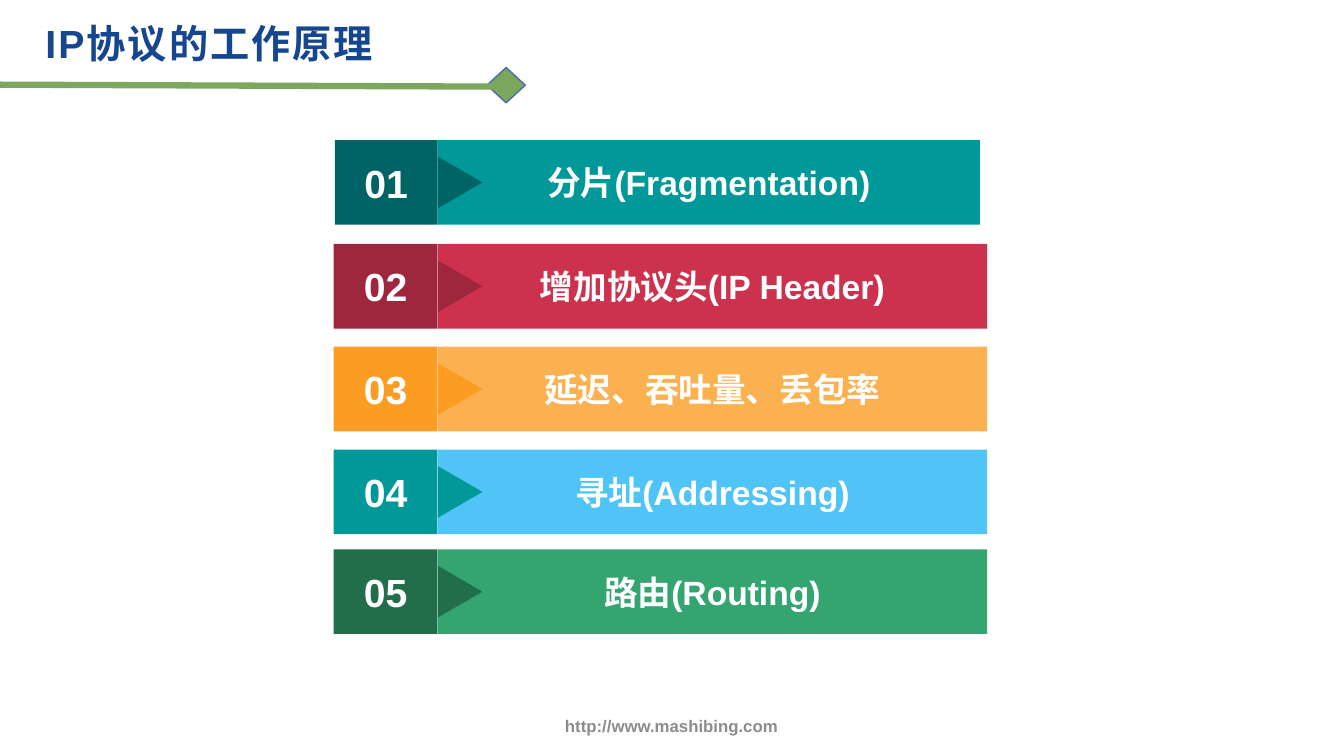
"""Builds the slide on how the IP protocol works: five numbered banners under a title."""
from lxml.etree import SubElement
from pptx import Presentation
from pptx.dml.color import RGBColor
from pptx.enum.shapes import MSO_CONNECTOR, MSO_SHAPE
from pptx.enum.text import MSO_ANCHOR, MSO_AUTO_SIZE, PP_ALIGN
from pptx.oxml.ns import qn
from pptx.util import Inches, Pt

WHITE = RGBColor(0xFF, 0xFF, 0xFF)
NAVY = RGBColor(0x16, 0x46, 0x8D)
GREY = RGBColor(0x8C, 0x8C, 0x8C)
RULE_GREEN = RGBColor(0x7C, 0xA7, 0x5F)
DIAMOND_GREEN = RGBColor(0x7C, 0xA6, 0x5E)
DIAMOND_EDGE = RGBColor(0x47, 0x6F, 0xAA)
DARK_TEAL = RGBColor(0x00, 0x64, 0x64)
TEAL = RGBColor(0x00, 0x98, 0x99)
DARK_RED = RGBColor(0x9E, 0x26, 0x3D)
RED = RGBColor(0xCC, 0x32, 0x4E)
ORANGE = RGBColor(0xFA, 0x9D, 0x22)
LIGHT_ORANGE = RGBColor(0xFB, 0xB1, 0x50)
SKY = RGBColor(0x50, 0xC4, 0xF7)
DARK_GREEN = RGBColor(0x22, 0x6E, 0x4B)
GREEN = RGBColor(0x34, 0xA4, 0x71)

BANNER_HEIGHT = 0.84
LABEL_LEFT = 4.34
BANNERS = [
    (1.39, 3.32, 9.72, "分片(Fragmentation)", DARK_TEAL, TEAL),
    (2.42, 3.31, 9.79, "增加协议头(IP Header)", DARK_RED, RED),
    (3.44, 3.31, 9.79, "延迟、吞吐量、丢包率", ORANGE, LIGHT_ORANGE),
    (4.46, 3.31, 9.79, "寻址(Addressing)", TEAL, SKY),
    (5.45, 3.31, 9.79, "路由(Routing)", DARK_GREEN, GREEN),
]


def write(frame, text, size=24, color=WHITE, align=PP_ALIGN.CENTER,
          anchor=MSO_ANCHOR.MIDDLE, spacing=None):
    """Put one bold paragraph into a text frame and return it."""
    frame.word_wrap = True
    frame.auto_size = MSO_AUTO_SIZE.NONE
    frame.vertical_anchor = anchor
    paragraph = frame.paragraphs[0]
    paragraph.alignment = align
    run = paragraph.add_run()
    run.text = text
    run.font.name = "Arial"
    run.font.size = Pt(size)
    run.font.bold = True
    run.font.color.rgb = color
    if spacing:
        run.font._element.set("spc", str(int(spacing * 100)))
    return paragraph


class SlideBuilder:
    """Holds the slide and draws each kind of element on it."""

    def __init__(self, slide):
        """Keep the slide to draw on."""
        self.slide = slide

    def title(self, text, left, top, width, height):
        """Place and format the title placeholder."""
        title = self.slide.shapes.title
        title.left, title.top = Inches(left), Inches(top)
        title.width, title.height = Inches(width), Inches(height)
        paragraph = write(title.text_frame, text, size=28, color=NAVY,
                          align=PP_ALIGN.LEFT, anchor=MSO_ANCHOR.TOP, spacing=1.5)
        paragraph.line_spacing = 1.3
        paragraph.space_before = Pt(0)
        paragraph.space_after = Pt(6)

    def shape(self, kind, left, top, width, height, fill, edge=None):
        """Add a flat filled shape."""
        shape = self.slide.shapes.add_shape(
            kind, Inches(left), Inches(top), Inches(width), Inches(height))
        shape.shadow.inherit = False
        shape.fill.solid()
        shape.fill.fore_color.rgb = fill
        if edge is None:
            shape.line.fill.background()
        else:
            shape.line.color.rgb = edge
            shape.line.width = Pt(1)
        return shape

    def rule(self, x1, y1, x2, y2, color, width):
        """Add a straight line."""
        rule = self.slide.shapes.add_connector(
            MSO_CONNECTOR.STRAIGHT, Inches(x1), Inches(y1), Inches(x2), Inches(y2))
        rule.line.color.rgb = color
        rule.line.width = Pt(width)
        SubElement(rule._element.spPr, qn("a:effectLst"))

    def text(self, text, left, top, width, height, **style):
        """Add a text box."""
        box = self.slide.shapes.add_textbox(
            Inches(left), Inches(top), Inches(width), Inches(height))
        write(box.text_frame, text, **style)

    def banner(self, number, top, left, right, label, dark, light):
        """Add a number block, its label bar and the pointer between them."""
        block = self.shape(MSO_SHAPE.RECTANGLE, left, top,
                           LABEL_LEFT - left, BANNER_HEIGHT, dark)
        write(block.text_frame, f"{number:02d}", size=28)
        bar = self.shape(MSO_SHAPE.RECTANGLE, LABEL_LEFT, top,
                         right - LABEL_LEFT, BANNER_HEIGHT, light)
        write(bar.text_frame, label)
        pointer = self.shape(MSO_SHAPE.ISOSCELES_TRIANGLE, 4.31, top + 0.2,
                             0.51, 0.44, dark)
        pointer.rotation = 90


def main():
    """Build and save the presentation."""
    deck = Presentation()
    deck.slide_width, deck.slide_height = Inches(13.33), Inches(7.5)
    builder = SlideBuilder(deck.slides.add_slide(deck.slide_layouts[5]))
    builder.shape(MSO_SHAPE.DIAMOND, 4.83, 0.67, 0.38, 0.35, DIAMOND_GREEN, DIAMOND_EDGE)
    builder.text("http://www.mashibing.com", 4.3, 6.9, 4.72, 0.6, size=12, color=GREY)
    builder.rule(0, 0.84, 5.07, 0.86, RULE_GREEN, 4.5)
    builder.title("IP协议的工作原理", 0.35, 0, 4.73, 0.75)
    for number, banner in enumerate(BANNERS, start=1):
        builder.banner(number, *banner)
    deck.save("out.pptx")


if __name__ == "__main__":
    main()
